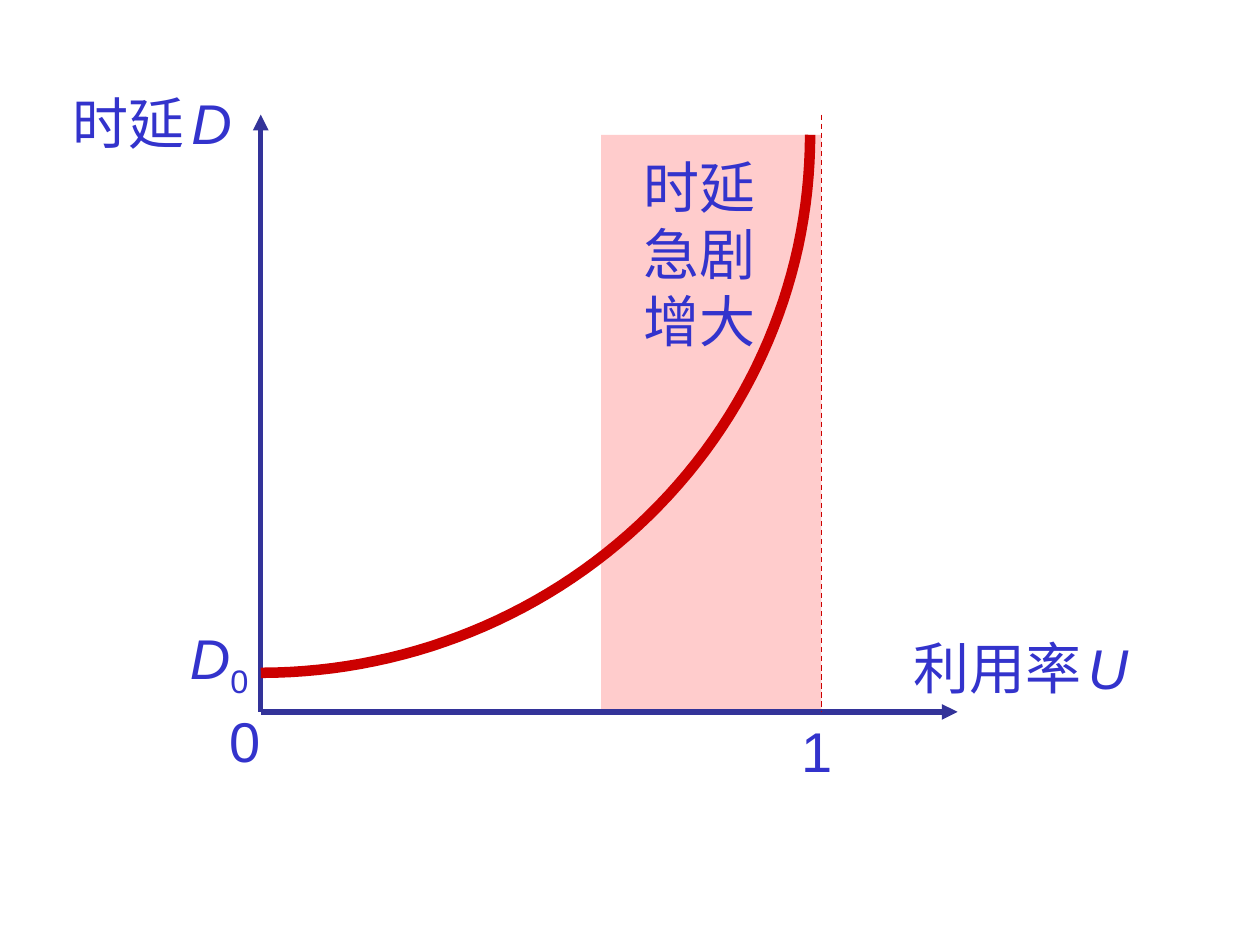
import math

import pptx
import pptx.dml.color
import pptx.enum.dml
import pptx.enum.shapes
import pptx.enum.text
import pptx.oxml.ns
import pptx.util
from lxml import etree
from pptx.util import Inches

TEXT = "3333CC"
AXIS = "333399"
CURVE = "CC0000"
BAND = "FFCCCC"
CURVE_SEGMENTS = 60


def color(hex_value):
    return pptx.dml.color.RGBColor.from_string(hex_value)


def add_line(page, start, end, hex_value, width, arrow=False, dashed=False):
    line = page.shapes.add_connector(
        pptx.enum.shapes.MSO_CONNECTOR.STRAIGHT, *start, *end)
    line.line.color.rgb = color(hex_value)
    line.line.width = pptx.util.Pt(width)
    if dashed:
        line.line.dash_style = pptx.enum.dml.MSO_LINE.DASH
    if arrow:
        etree.SubElement(line.line._get_or_add_ln(),
                         pptx.oxml.ns.qn("a:tailEnd"), type="triangle")
    etree.SubElement(line._element.spPr, pptx.oxml.ns.qn("a:effectLst"))


def add_label(page, left, top, width, height, lines):
    """Each line is a list of (text, size, italic, subscript) spans."""
    box = page.shapes.add_textbox(left, top, width, height)
    frame = box.text_frame
    frame.word_wrap = False
    frame.auto_size = pptx.enum.text.MSO_AUTO_SIZE.SHAPE_TO_FIT_TEXT
    for index, spans in enumerate(lines):
        para = frame.add_paragraph() if index else frame.paragraphs[0]
        para.font.name = "Arial"
        para.font.color.rgb = color(TEXT)
        for text, size, italic, subscript in spans:
            span = para.add_run()
            span.text = text
            span.font.size = pptx.util.Pt(size)
            span.font.italic = italic
            if subscript:
                span.font._element.set("baseline", "-25000")


def plain(text):
    return (text, 32, False, False)


def symbol(text):
    return (text, 32, True, False)


def add_band(page, left, top, width, height):
    band = page.shapes.add_shape(
        pptx.enum.shapes.MSO_SHAPE.RECTANGLE, left, top, width, height)
    band.shadow.inherit = False
    band.fill.solid()
    band.fill.fore_color.rgb = color(BAND)
    band.line.fill.background()


def add_delay_curve(page, left, top, width, height):
    """Quarter ellipse rising from the lower left to the upper right."""
    angles = [math.pi / 2 * step / CURVE_SEGMENTS
              for step in range(CURVE_SEGMENTS + 1)]
    points = [(left + width * math.sin(angle), top + height * math.cos(angle))
              for angle in angles]
    builder = page.shapes.build_freeform(*points[0])
    builder.add_line_segments(points[1:], close=False)
    curve = builder.convert_to_shape()
    curve.shadow.inherit = False
    curve.fill.background()
    curve.line.color.rgb = color(CURVE)
    curve.line.width = pptx.util.Pt(6)


def add_delay_plot(page, left, top, width, height):
    right, bottom = left + width, top + height
    full_load = left + Inches(4.45)
    band_width = Inches(1.75)
    band_top = top + Inches(0.16)

    add_band(page, full_load - band_width, band_top,
             band_width, bottom - band_top)
    add_line(page, (left, bottom), (left, top), AXIS, 3, arrow=True)
    add_line(page, (left, bottom), (right, bottom), AXIS, 3, arrow=True)
    add_line(page, (full_load, top), (full_load, bottom), CURVE, 0.75,
             dashed=True)
    add_delay_curve(page, left, band_top, Inches(4.36), Inches(4.27))

    space = (" ", 16, False, False)
    labels = [
        (-1.59, -0.26, 1.58, 0.64, [[plain("时延"), space, symbol("D")]]),
        (5.08, 4.07, 2.02, 0.64, [[plain("利用率"), space, symbol("U")]]),
        (4.19, 4.73, 0.45, 0.64, [[plain("1")]]),
        (-0.35, 4.65, 0.45, 0.64, [[plain("0")]]),
        (-0.66, 3.99, 0.7, 0.71, [[symbol("D"), ("0", 32, False, True)]]),
        (2.94, 0.25, 1.1, 1.7,
         [[plain(text)] for text in ("时延", "急剧", "增大")]),
    ]
    for x, y, label_width, label_height, lines in labels:
        add_label(page, left + Inches(x), top + Inches(y),
                  Inches(label_width), Inches(label_height), lines)


def main():
    deck = pptx.Presentation()
    deck.slide_width = Inches(10)
    deck.slide_height = Inches(7.5)
    page = deck.slides.add_slide(deck.slide_layouts[6])
    add_delay_plot(page, Inches(2.07), Inches(0.91),
                   Inches(5.53), Inches(4.74))
    deck.save("out.pptx")


if __name__ == "__main__":
    main()
